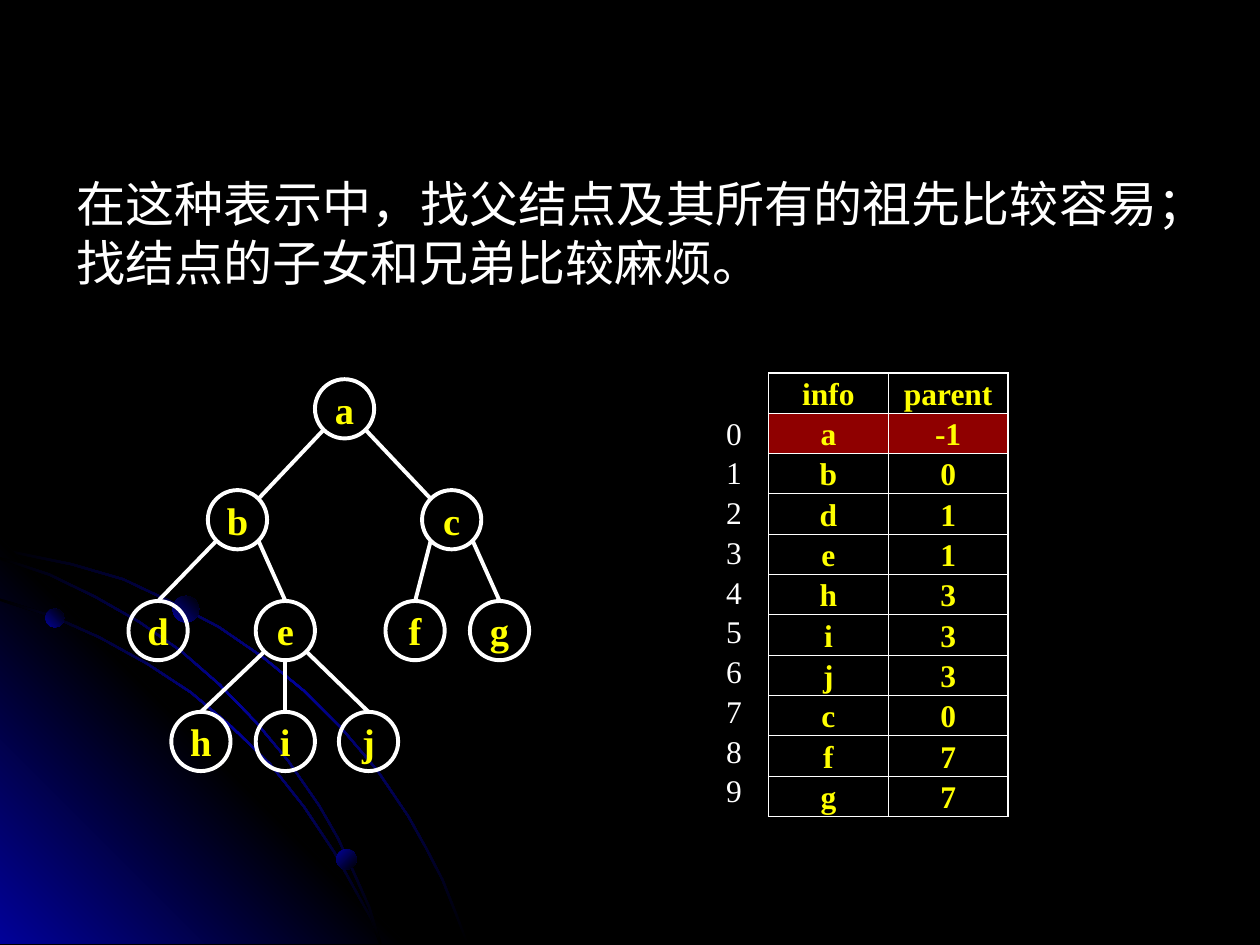
from math import sqrt

from lxml.etree import SubElement
from pptx import Presentation
from pptx.dml.color import RGBColor
from pptx.enum.shapes import MSO_CONNECTOR as Connector, MSO_SHAPE as Shape
from pptx.enum.text import MSO_ANCHOR as Anchor, PP_ALIGN as Align
from pptx.oxml.ns import qn
from pptx.util import Inches, Pt

BLACK, BLUE, WHITE, YELLOW, RED = "000000", "010199", "FFFFFF", "FFFF00", "8F0000"
LATIN, CHINESE = "Times New Roman", "Noto Sans CJK SC"

STATEMENT = "在这种表示中，找父结点及其所有的祖先比较容易；找结点的子女和兄弟比较麻烦。"

# The tree in parent form: each node's name and the index of its parent
HEADER = ("info", "parent")
RECORDS = [("a", -1), ("b", 0), ("d", 1), ("e", 1), ("h", 3),
           ("i", 3), ("j", 3), ("c", 0), ("f", 7), ("g", 7)]
NODE_LEFT = {"a": 2.5, "b": 1.65, "c": 3.35, "d": 1.02, "e": 2.03,
             "f": 3.06, "g": 3.73, "h": 1.36, "i": 2.03, "j": 2.69}
TREE_TOP, LEVEL_GAP, NODE_SIZE = 3.01, 0.88, 0.47

TABLE_LEFT, TABLE_TOP, TABLE_HEIGHT = 6.1, 2.96, 3.47
COLUMN_WIDTH = 0.95
INDEX_LEFT, INDEX_WIDTH = 5.63, 0.39

# Backdrop: the upper edge of each arc, from the left border down to the bottom
ARC_WIDTH = 0.02
OUTER_ARC = [
    (0, 4.35), (0.28, 4.41), (0.57, 4.47), (0.98, 4.59), (1.36, 4.77),
    (1.74, 4.97), (2.09, 5.21), (2.42, 5.48), (2.72, 5.78), (3, 6.11),
    (3.25, 6.48), (3.39, 6.73), (3.52, 6.98), (3.62, 7.23), (3.72, 7.49)]
INNER_ARC = [
    (0, 4.75), (0.41, 4.88), (0.79, 5.05), (1.17, 5.26), (1.52, 5.49), (1.84, 5.76),
    (2.15, 6.06), (2.42, 6.4), (2.66, 6.76), (2.86, 7.12), (2.96, 7.3), (3.03, 7.49)]
MIDDLE_ARC = [
    (0, 4.42), (0.39, 4.55), (0.76, 4.73), (1.11, 4.93), (1.44, 5.16),
    (1.75, 5.43), (2.04, 5.73), (2.29, 6.03), (2.54, 6.39), (2.69, 6.65),
    (2.82, 6.93), (2.94, 7.2), (3.03, 7.49)]
GLOW_CORNER = [(3.22, 7.49), (0, 7.49), (0, 4.27)]
DOTS = [(0.36, 4.83, 0.15, 315), (2.67, 6.74, 0.16, 45), (1.37, 4.73, 0.21, 315)]


def color(code):
    return RGBColor.from_string(code)


def write(frame, text, font=LATIN, size=18, ink=WHITE, bold=False,
          align=Align.CENTER, anchor=Anchor.MIDDLE, wrap=False):
    frame.word_wrap = wrap
    frame.vertical_anchor = anchor
    para = frame.paragraphs[0]
    para.alignment = align
    span = para.add_run()
    span.text = text
    span.font.name, span.font.size, span.font.bold = font, Pt(size), bold
    span.font.color.rgb = color(ink)
    SubElement(span.font._element, qn("a:ea"), typeface=font)


class Painter:
    """Holds the current slide and the line style of what is drawn on it."""

    def __init__(self, page, line_width=2.25, border_width=0.75):
        self.page = page
        self.shapes = page.shapes
        self.line_width = Pt(line_width)
        self.border_width = Pt(border_width)

    def background(self, code):
        self.page.background.fill.solid()
        self.page.background.fill.fore_color.rgb = color(code)

    def gradient(self, shape, codes, angle):
        """Fill with evenly spaced colours; the angle runs clockwise."""
        shape.shadow.inherit = False
        shape.line.fill.background()
        shape.fill.gradient()
        grad = shape._element.spPr.find(qn("a:gradFill"))
        stops = grad.find(qn("a:gsLst"))
        for stop in list(stops):
            stops.remove(stop)
        for index, code in enumerate(codes):
            position = 100000 * index // (len(codes) - 1)
            stop = SubElement(stops, qn("a:gs"), pos=str(position))
            SubElement(stop, qn("a:srgbClr"), val=code)
        grad.find(qn("a:lin")).set("ang", str(angle * 60000))

    def polygon(self, points, codes, angle):
        # A freeform keeps whole units only, so its corners are given in EMU
        corners = [(Inches(x), Inches(y)) for x, y in points]
        builder = self.shapes.build_freeform(*corners[0])
        builder.add_line_segments(corners[1:], close=True)
        self.gradient(builder.convert_to_shape(), codes, angle)

    def arc(self, upper_edge):
        """Draw a thin band whose lower edge moves from below to the left."""
        last = len(upper_edge) - 1
        lower_edge = [(x - ARC_WIDTH * index / last, y + ARC_WIDTH * (1 - index / last))
                      for index, (x, y) in enumerate(upper_edge)]
        self.polygon(upper_edge + lower_edge[::-1], [BLACK, BLUE, BLACK], 45)

    def circle(self, left, top, size):
        shape = self.shapes.add_shape(Shape.OVAL, Inches(left), Inches(top),
                                      Inches(size), Inches(size))
        shape.shadow.inherit = False
        return shape

    def dot(self, left, top, size, angle):
        self.gradient(self.circle(left, top, size), [BLUE, BLACK], angle)

    def node(self, left, top, size, label):
        shape = self.circle(left, top, size)
        shape.fill.background()
        shape.line.color.rgb = color(WHITE)
        shape.line.width = self.line_width
        write(shape.text_frame, label, size=22, ink=YELLOW, bold=True)

    def line(self, start, end):
        ends = [Inches(value) for value in (*start, *end)]
        edge = self.shapes.add_connector(Connector.STRAIGHT, *ends)
        edge.line.color.rgb = color(WHITE)
        edge.line.width = self.line_width
        SubElement(edge._element.spPr, qn("a:effectLst"))

    def text(self, left, top, width, height, text, **style):
        box = self.shapes.add_textbox(Inches(left), Inches(top), Inches(width), Inches(height))
        write(box.text_frame, text, **style)

    def cell(self, cell, text, fill=None):
        cell.margin_left = cell.margin_right = cell.margin_bottom = 0
        cell.margin_top = Inches(0.02)
        write(cell.text_frame, text, ink=YELLOW, bold=True)
        cell.vertical_anchor = Anchor.MIDDLE
        props = cell._tc.get_or_add_tcPr()
        for side in ("lnL", "lnR", "lnT", "lnB"):
            border = SubElement(props, qn(f"a:{side}"), w=str(self.border_width))
            SubElement(SubElement(border, qn("a:solidFill")), qn("a:srgbClr"), val=WHITE)
        if fill:
            cell.fill.solid()
            cell.fill.fore_color.rgb = color(fill)
        else:
            cell.fill.background()

    def table(self, left, top, width, height, rows, marked_row):
        grid = self.shapes.add_table(len(rows), len(rows[0]), Inches(left), Inches(top),
                                     Inches(width), Inches(height)).table
        grid.first_row = grid.horz_banding = False
        for r, values in enumerate(rows):
            for c, value in enumerate(values):
                self.cell(grid.cell(r, c), str(value), RED if r == marked_row else None)


def draw_backdrop(painter):
    painter.background(BLACK)
    painter.arc(OUTER_ARC)
    painter.polygon(GLOW_CORNER, [BLUE, BLACK, BLUE], 315)
    painter.arc(INNER_ARC)
    painter.arc(MIDDLE_ARC)
    for dot in DOTS:
        painter.dot(*dot)


def draw_parent_table(painter):
    rows = [HEADER, *RECORDS]
    row_height = TABLE_HEIGHT / len(rows)
    painter.table(TABLE_LEFT, TABLE_TOP, COLUMN_WIDTH * len(HEADER), TABLE_HEIGHT,
                  rows, marked_row=1)
    for index in range(len(RECORDS)):
        painter.text(INDEX_LEFT, TABLE_TOP + row_height * (index + 1),
                     INDEX_WIDTH, row_height, str(index))


def draw_tree(painter):
    """Place each node one level below its parent and join the two."""
    radius = NODE_SIZE / 2
    diagonal = radius / sqrt(2)
    levels, centers = [], []
    for label, parent in RECORDS:
        level = 0 if parent < 0 else levels[parent] + 1
        left, top = NODE_LEFT[label], TREE_TOP + LEVEL_GAP * level
        x, y = left + radius, top + radius
        levels.append(level)
        centers.append((x, y))
        painter.node(left, top, NODE_SIZE, label)
        if parent < 0:
            continue
        parent_x, parent_y = centers[parent]
        side = (x > parent_x) - (x < parent_x)  # -1 left, 0 straight below, 1 right
        start = (parent_x + side * diagonal, parent_y + (diagonal if side else radius))
        # Edges from the root meet the child on its shoulder, all others at its top
        end = (x - side * diagonal, y - diagonal) if level == 1 else (x, y - radius)
        painter.line(start, end)


def main():
    deck = Presentation()
    deck.slide_width, deck.slide_height = Inches(10), Inches(7.5)
    painter = Painter(deck.slides.add_slide(deck.slide_layouts[6]))
    draw_backdrop(painter)
    painter.text(0.51, 1.33, 9.17, 1.04, STATEMENT, font=CHINESE, size=28,
                 align=Align.JUSTIFY, anchor=Anchor.TOP, wrap=True)
    draw_parent_table(painter)
    draw_tree(painter)
    deck.save("out.pptx")


if __name__ == "__main__":
    main()
